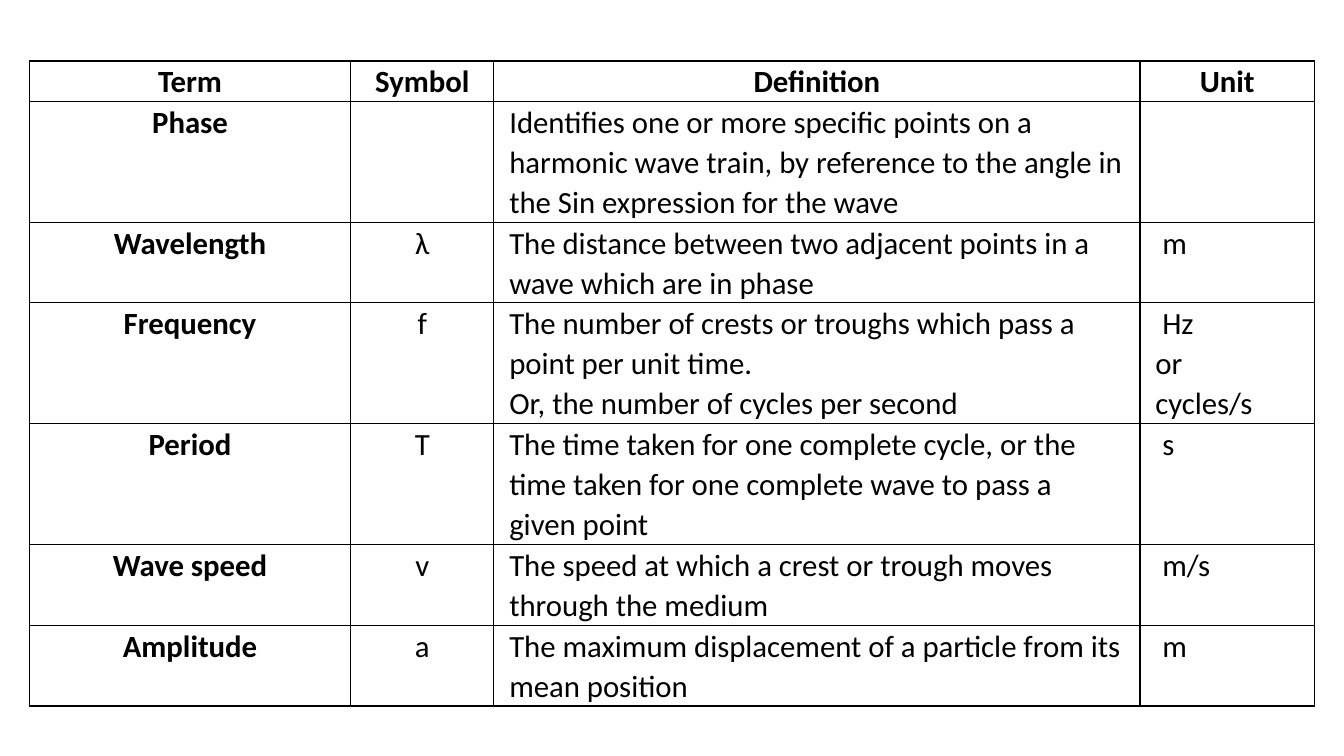
from dataclasses import dataclass

from lxml import etree
from pptx import Presentation
from pptx.dml.color import RGBColor
from pptx.enum.text import PP_ALIGN
from pptx.oxml.ns import qn
from pptx.table import _Cell
from pptx.util import Pt

CENTER = PP_ALIGN.CENTER
LEFT = PP_ALIGN.LEFT
COLORS = {"ink": "000000"}
FONT = "Calibri"
TEXT_SIZE = 22
LINE_SPACING = 1.07
LINE_HEIGHT = 28.8
SIDE_MARGIN = 11
UNIT_INDENT = 5
TABLE_LEFT, TABLE_TOP = 20.9, 43.5
COLUMN_WIDTHS = (229.7, 102.2, 461.5, 124.6)


@dataclass(frozen=True)
class Quantity:
    term: str
    symbol: str
    definition: str
    unit: str
    lines: int  # text lines that the row holds


HEADINGS = Quantity("Term", "Symbol", "Definition", "Unit", 1)
QUANTITIES = (
    Quantity("Phase", "",
             "Identifies one or more specific points on a harmonic wave train, "
             "by reference to the angle in the Sin expression for the wave", "", 3),
    Quantity("Wavelength", "λ",
             "The distance between two adjacent points in a wave which are in phase",
             "m", 2),
    Quantity("Frequency", "f",
             "The number of crests or troughs which pass a point per unit time.\n"
             "Or, the number of cycles per second", "Hz\nor\ncycles/s", 3),
    Quantity("Period", "T",
             "The time taken for one complete cycle, or the time taken for one "
             "complete wave to pass a given point", "s", 3),
    Quantity("Wave speed", "v",
             "The speed at which a crest or trough moves through the medium", "m/s", 2),
    Quantity("Amplitude", "a",
             "The maximum displacement of a particle from its mean position", "m", 2),
)


def add_borders(cell: _Cell) -> None:
    properties = cell._tc.get_or_add_tcPr()
    for side in ("a:lnL", "a:lnR", "a:lnT", "a:lnB"):
        line = etree.SubElement(properties, qn(side), w=str(Pt(1)))
        fill = etree.SubElement(line, qn("a:solidFill"))
        etree.SubElement(fill, qn("a:srgbClr"), val=COLORS["ink"])


def fill_cell(cell: _Cell, text: str, bold: bool, alignment: PP_ALIGN,
              first_indent: float = 0) -> None:
    add_borders(cell)
    cell.fill.background()
    cell.margin_left = cell.margin_right = Pt(SIDE_MARGIN)
    cell.margin_top = cell.margin_bottom = Pt(0)
    cell.text_frame.text = text
    for paragraph in cell.text_frame.paragraphs:
        paragraph.alignment = alignment
        paragraph.line_spacing = LINE_SPACING
        for span in paragraph.runs:
            span.font.name = FONT
            span.font.size = Pt(TEXT_SIZE)
            span.font.bold = bold
            span.font.color.rgb = RGBColor.from_string(COLORS["ink"])
    if first_indent:
        first = cell.text_frame.paragraphs[0]
        first._p.get_or_add_pPr().set("indent", str(Pt(first_indent)))


def main() -> None:
    deck = Presentation()
    deck.slide_width, deck.slide_height = Pt(960), Pt(540)
    page = deck.slides.add_slide(deck.slide_layouts[6])

    # Table frame
    rows = (HEADINGS, *QUANTITIES)
    height = LINE_HEIGHT * sum(row.lines for row in rows)
    table = page.shapes.add_table(
        len(rows), len(COLUMN_WIDTHS), Pt(TABLE_LEFT), Pt(TABLE_TOP),
        Pt(sum(COLUMN_WIDTHS)), Pt(height)).table
    table.first_row = table.horz_banding = False
    for column, width in zip(table.columns, COLUMN_WIDTHS):
        column.width = Pt(width)

    # Headings and quantities
    for index, row in enumerate(rows):
        table.rows[index].height = Pt(LINE_HEIGHT * row.lines)
        heading = row is HEADINGS
        body_alignment = CENTER if heading else LEFT
        fill_cell(table.cell(index, 0), row.term, True, CENTER)
        fill_cell(table.cell(index, 1), row.symbol, heading, CENTER)
        fill_cell(table.cell(index, 2), row.definition, heading, body_alignment)
        fill_cell(table.cell(index, 3), row.unit, heading, body_alignment,
                  0 if heading else UNIT_INDENT)

    deck.save("out.pptx")


if __name__ == "__main__":
    main()
